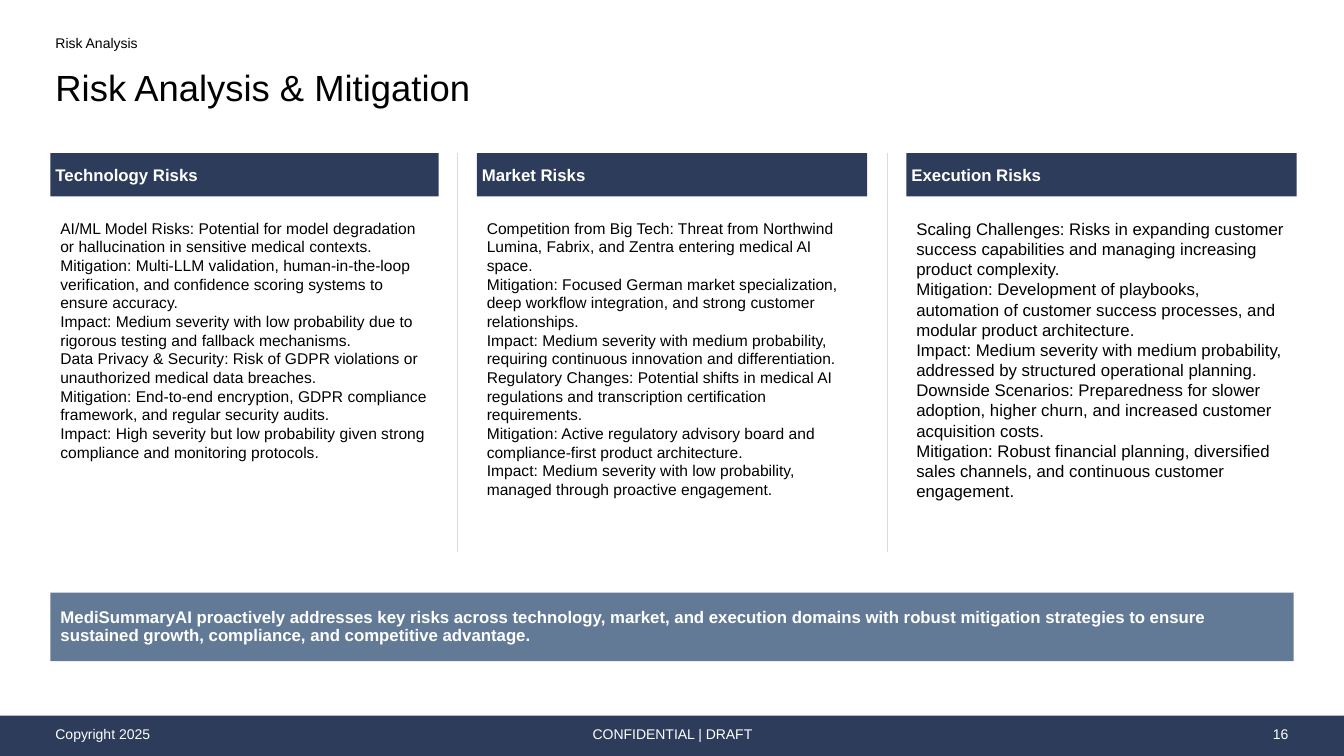
from lxml import etree
from pptx import Presentation
from pptx import util as u
from pptx.dml.color import RGBColor
from pptx.enum import shapes, text
from pptx.oxml.ns import qn

NAVY, SLATE, RULE, WHITE, BLACK = "2C3C5A", "637A96", "D5DBE1", "FFFFFF", "000000"
LEFT, WIDTH = 0.5, 12.33
HEADER_TOP, BODY_TOP = 1.52, 2.12

# Heading, left edge, width, text size, statements
RISKS = [
    ("Technology Risks", 0.5, 3.85, 11.1, [
        "AI/ML Model Risks: Potential for model degradation or hallucination in sensitive medical contexts.",
        "Mitigation: Multi-LLM validation, human-in-the-loop verification, and confidence scoring systems to ensure accuracy.",
        "Impact: Medium severity with low probability due to rigorous testing and fallback mechanisms.",
        "Data Privacy & Security: Risk of GDPR violations or unauthorized medical data breaches.",
        "Mitigation: End-to-end encryption, GDPR compliance framework, and regular security audits.",
        "Impact: High severity but low probability given strong compliance and monitoring protocols.",
    ]),
    ("Market Risks", 4.73, 3.87, 11.1, [
        "Competition from Big Tech: Threat from Northwind Lumina, Fabrix, and Zentra entering medical AI space.",
        "Mitigation: Focused German market specialization, deep workflow integration, and strong customer relationships.",
        "Impact: Medium severity with medium probability, requiring continuous innovation and differentiation.",
        "Regulatory Changes: Potential shifts in medical AI regulations and transcription certification requirements.",
        "Mitigation: Active regulatory advisory board and compliance-first product architecture.",
        "Impact: Medium severity with low probability, managed through proactive engagement.",
    ]),
    ("Execution Risks", 8.99, 3.87, 12, [
        "Scaling Challenges: Risks in expanding customer success capabilities and managing increasing product complexity.",
        "Mitigation: Development of playbooks, automation of customer success processes, and modular product architecture.",
        "Impact: Medium severity with medium probability, addressed by structured operational planning.",
        "Downside Scenarios: Preparedness for slower adoption, higher churn, and increased customer acquisition costs.",
        "Mitigation: Robust financial planning, diversified sales channels, and continuous customer engagement.",
    ]),
]
SUMMARY = ("MediSummaryAI proactively addresses key risks across technology, market, and execution "
           "domains with robust mitigation strategies to ensure sustained growth, compliance, "
           "and competitive advantage.")


def rgb(value):
    return RGBColor.from_string(value)


def write(frame, words, size=12, color=BLACK, bold=False, align="LEFT", anchor="MIDDLE",
          insets=(0.05, 0.05, 0.05, 0.05), line_spacing=None, after=0):
    """Fill a text frame with one paragraph; newlines become line breaks."""
    frame.word_wrap = True
    frame.auto_size = text.MSO_AUTO_SIZE.NONE
    frame.vertical_anchor = getattr(text.MSO_ANCHOR, anchor)
    (frame.margin_left, frame.margin_top,
     frame.margin_right, frame.margin_bottom) = map(u.Inches, insets)
    paragraph = frame.paragraphs[0]
    paragraph.text = words
    paragraph.alignment = getattr(text.PP_ALIGN, align)
    paragraph.space_before, paragraph.space_after = u.Pt(0), u.Pt(after)
    if line_spacing:
        paragraph.line_spacing = line_spacing
    for run in paragraph.runs:
        run.font.name, run.font.size, run.font.bold = "Arial", u.Pt(size), bold
        run.font.color.rgb = rgb(color)


class RiskSlide:
    """Holds the slide and draws its elements in one style."""

    def __init__(self, deck):
        self.slide = deck.slides.add_slide(deck.slide_layouts[4])

    def placeholder(self, idx, box, words, fill=None, **style):
        holder = next(p for p in self.slide.placeholders if p.placeholder_format.idx == idx)
        holder.left, holder.top, holder.width, holder.height = map(u.Inches, box)
        if fill:
            holder.fill.solid()
            holder.fill.fore_color.rgb = rgb(fill)
        write(holder.text_frame, words, line_spacing=0.9, **style)

    def bar(self, box, words=None, **style):
        bar = self.slide.shapes.add_shape(shapes.MSO_SHAPE.RECTANGLE, *map(u.Inches, box))
        bar.shadow.inherit = False
        bar.fill.solid()
        bar.fill.fore_color.rgb = rgb(NAVY)
        bar.line.fill.background()
        if words:
            write(bar.text_frame, words, color=WHITE, bold=True, **style)

    def label(self, box, words, **style):
        label = self.slide.shapes.add_textbox(*map(u.Inches, box))
        write(label.text_frame, words, **style)

    def divider(self, x, top, bottom):
        rule = self.slide.shapes.add_connector(
            shapes.MSO_CONNECTOR.STRAIGHT, *map(u.Inches, (x, top, x, bottom)))
        rule.line.color.rgb = rgb(RULE)
        rule.line.width = u.Pt(1)
        etree.SubElement(rule._element.spPr, qn("a:effectLst"))

    def drop_empty_placeholders(self):
        for holder in list(self.slide.placeholders):
            if not holder.text_frame.text:
                holder._element.getparent().remove(holder._element)


def main():
    deck = Presentation()
    deck.slide_width, deck.slide_height = u.Inches(13.33), u.Inches(7.5)
    page = RiskSlide(deck)

    page.placeholder(0, (LEFT, 0.6, WIDTH, 0.54), "Risk Analysis & Mitigation",
                     size=26, insets=(0.05, 0.05, 0.05, 0))
    page.placeholder(1, (LEFT, 0.31, WIDTH, 0.29), "Risk Analysis", size=10, anchor="TOP")
    page.placeholder(3, (LEFT, 5.88, WIDTH, 0.68), SUMMARY, fill=SLATE, color=WHITE,
                     bold=True, insets=(0.1, 0.1, 0.1, 0.1))
    page.drop_empty_placeholders()

    for number, (heading, left, width, size, statements) in enumerate(RISKS):
        page.bar((left, HEADER_TOP, width, 0.43), heading)
        page.label((left, BODY_TOP, width, 3.59), "\n".join(statements), size=size,
                   anchor="TOP", insets=(0.1, 0.05, 0.1, 0.05), after=12)
        if number:
            page.divider(left - 0.19, HEADER_TOP, 5.48)

    page.bar((0, 7.1, 13.33, 0.4))
    for words, left, width, align in [("Copyright 2025", LEFT, 3.97, "LEFT"),
                                      ("CONFIDENTIAL | DRAFT", 4.42, 4.5, "CENTER"),
                                      ("16", 9.83, 3, "RIGHT")]:
        page.label((left, 7.14, width, 0.28), words, size=10, color=WHITE, align=align)

    deck.save("out.pptx")


if __name__ == "__main__":
    main()
